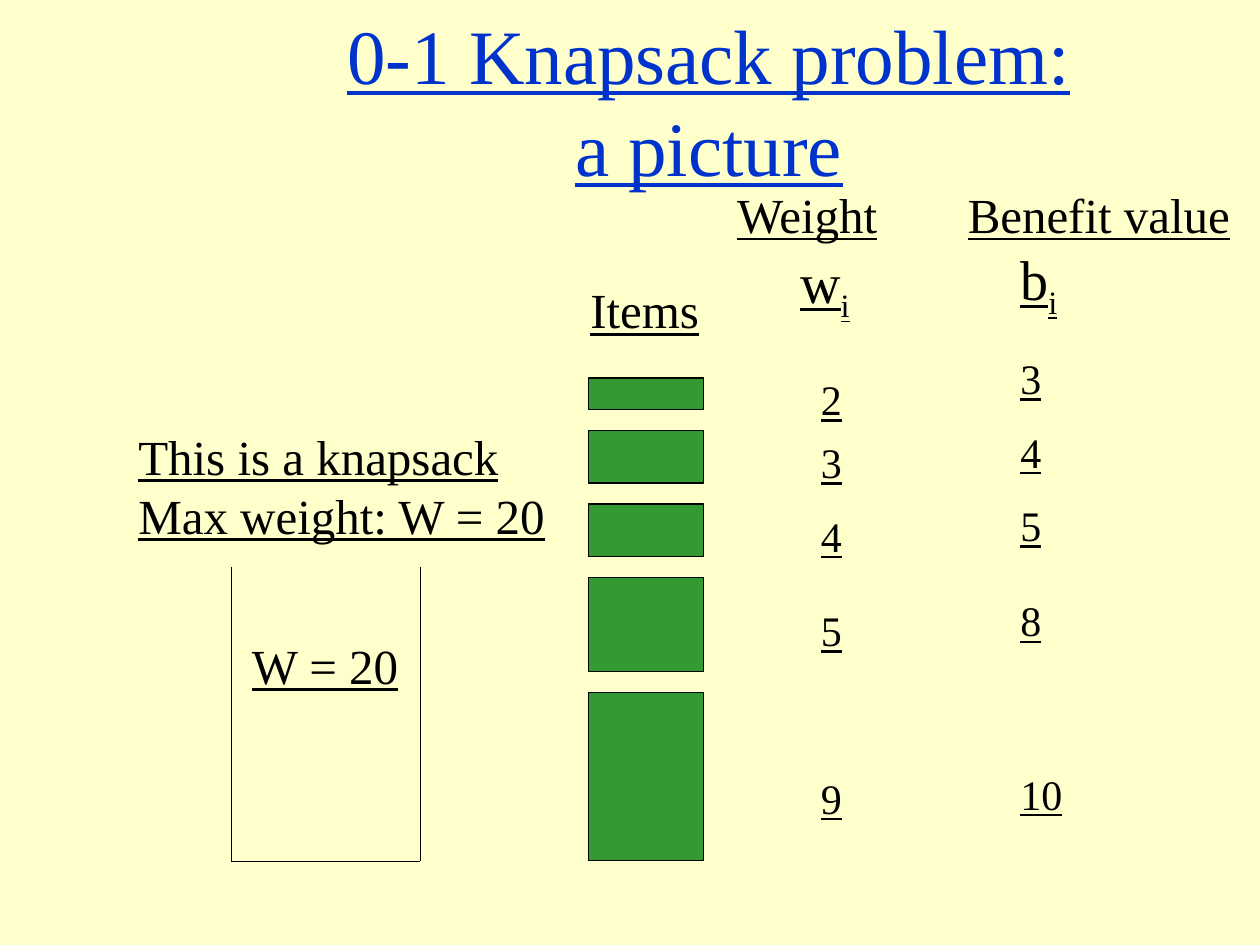
from typing import NamedTuple

from lxml.etree import SubElement
from pptx import Presentation
from pptx.dml.color import RGBColor
from pptx.enum.shapes import MSO_CONNECTOR as Link, MSO_SHAPE as Shape
from pptx.enum.text import MSO_ANCHOR as Anchor, MSO_AUTO_SIZE as Fit, PP_ALIGN as Align
from pptx.oxml.ns import qn
from pptx.util import Cm, Pt

CREAM = RGBColor(0xFF, 0xFF, 0xCC)
BLUE = RGBColor(0x00, 0x33, 0xCC)
GREEN = RGBColor(0x33, 0x99, 0x33)
BLACK = RGBColor(0x00, 0x00, 0x00)
FONT = "Times New Roman"
EDGE = Pt(0.75)


class Label(NamedTuple):
    text: str
    left: float
    top: float
    width: float
    height: float = 1.45
    size: int = 28
    sub: str = ""
    wrap: bool = False


class Item(NamedTuple):
    height: float
    weight: int
    weight_top: float
    value: int
    value_top: float


ITEM_X, ITEM_Y, ITEM_W, GAP = 11.86, 7.62, 2.33, 0.42
ITEMS = [
    Item(0.64, 2, 7.41, 3, 6.99),
    Item(1.06, 3, 8.68, 4, 8.47),
    Item(1.06, 4, 10.16, 5, 9.95),
    Item(1.9, 5, 12.07, 8, 11.87),
    Item(3.39, 9, 15.45, 10, 15.37),
]
LABELS = [
    Label("Weight", 14.61, 3.6, 3.45),
    Label("Benefit value", 19.26, 3.6, 5.85),
    Label("w", 15.88, 4.87, 1.52, 1.8, 32, "i", True),
    Label("b", 20.32, 4.8, 1.52, 1.8, 32, "i", True),
    Label("Items", 11.65, 5.52, 2.8),
    Label("This is a knapsack\nMax weight: W = 20", 2.54, 8.47, 8.8, 2.64),
]
SACK = [(4.66, 11.43), (4.66, 17.36), (8.47, 17.36), (8.47, 11.43)]


def add_label(shapes, label: Label, color: RGBColor = BLACK):
    box = shapes.add_textbox(
        Cm(label.left), Cm(label.top), Cm(label.width), Cm(label.height))
    frame = box.text_frame
    frame.word_wrap = label.wrap
    frame.auto_size = Fit.SHAPE_TO_FIT_TEXT
    frame.text = label.text
    if label.sub:
        run = frame.paragraphs[0].add_run()
        run.text = label.sub
        run.font._element.set("baseline", "-25000")
    for para in frame.paragraphs:
        font = para.font
        font.name, font.size, font.underline = FONT, Pt(label.size), True
        font.color.rgb = color
        for run in para.runs:
            run.font.underline = True
    return frame


def add_title(shapes) -> None:
    frame = add_label(
        shapes,
        Label("0-1 Knapsack problem:\va picture", 3.18, 0.42, 22.22, 3.18, 44, wrap=True),
        BLUE)
    frame.auto_size = Fit.NONE
    frame.vertical_anchor = Anchor.MIDDLE
    frame.paragraphs[0].alignment = Align.CENTER


def add_sack(shapes) -> None:
    group = shapes.add_group_shape().shapes
    for (x1, y1), (x2, y2) in zip(SACK, SACK[1:]):
        side = group.add_connector(Link.STRAIGHT, Cm(x1), Cm(y1), Cm(x2), Cm(y2))
        side.line.color.rgb = BLACK
        side.line.width = EDGE
        SubElement(side._element.spPr, qn("a:effectLst"))
    add_label(group, Label("W = 20", 4.83, 12.68, 3.52))


def add_number(shapes, num: int, left: float, top: float) -> None:
    width = 0.92 if num < 10 else 1.5
    add_label(shapes, Label(str(num), left, top, width, 1.27, 24))


def add_items(shapes) -> None:
    """Stack the items with equal gaps, each with its weight and value."""
    top = ITEM_Y
    for item in ITEMS:
        block = shapes.add_shape(
            Shape.RECTANGLE, Cm(ITEM_X), Cm(top), Cm(ITEM_W), Cm(item.height))
        block.shadow.inherit = False
        block.fill.solid()
        block.fill.fore_color.rgb = GREEN
        block.line.color.rgb = BLACK
        block.line.width = EDGE
        add_number(shapes, item.weight, 16.3, item.weight_top)
        add_number(shapes, item.value, 20.32, item.value_top)
        top += item.height + GAP


def main() -> None:
    deck = Presentation()
    deck.slide_width, deck.slide_height = Cm(25.4), Cm(19.05)
    slide = deck.slides.add_slide(deck.slide_layouts[6])
    slide.background.fill.solid()
    slide.background.fill.fore_color.rgb = CREAM
    add_title(slide.shapes)
    add_sack(slide.shapes)
    add_items(slide.shapes)
    for label in LABELS:
        add_label(slide.shapes, label)
    deck.save("out.pptx")


if __name__ == "__main__":
    main()
